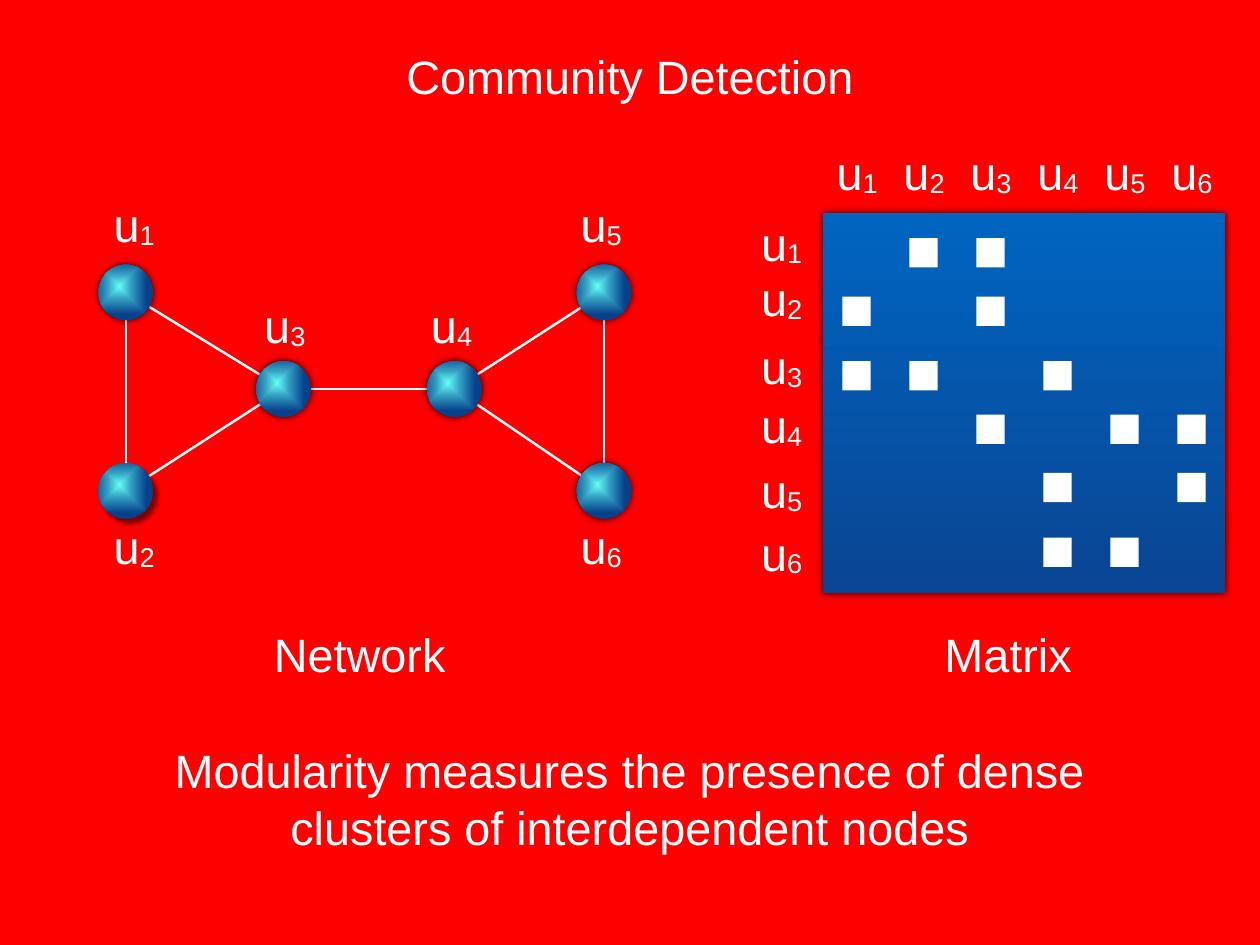
from dataclasses import dataclass
from itertools import product

import pptx
import pptx.dml.color
import pptx.enum.shapes
import pptx.enum.text
import pptx.oxml
import pptx.oxml.ns
import pptx.shapes.autoshape
import pptx.shapes.group
import pptx.shapes.shapetree
import pptx.util
from lxml import etree

Cm = pptx.util.Cm
Pt = pptx.util.Pt
Kind = pptx.enum.shapes.MSO_SHAPE
Tree = pptx.shapes.shapetree.SlideShapes | pptx.shapes.shapetree.GroupShapes
Shape = pptx.shapes.autoshape.Shape
qn = pptx.oxml.ns.qn

COLORS = {
    "back": "FF0000", "white": "FFFFFF", "black": "000000",
    "glow": "62FDF6", "teal": "349FC1", "navy": "06418C",
    "top": "0065C1", "base": "094593",
}
FONT = "Arial"
SIZE = 38


@dataclass(frozen=True)
class Box:
    left: float
    top: float
    width: float
    height: float

    def place(self) -> list[pptx.util.Length]:
        return [Cm(v) for v in (self.left, self.top, self.width, self.height)]


@dataclass(frozen=True)
class Shade:
    """A soft shadow: points for blur and dist, degrees for turn."""
    alpha: int = 80
    blur: float = 6
    dist: float = 0
    turn: int = 315


@dataclass(frozen=True)
class Node:
    x: float
    y: float
    tag_left: float
    tag_top: float
    shade: Shade = Shade()


@dataclass(frozen=True)
class Note:
    text: str
    box: Box
    wrap: bool = False


NODE_W, NODE_H = 1.57, 1.6
NODES = {
    1: Node(3.61, 8.39, 3.07, 5.46),
    2: Node(3.61, 14.08, 3.07, 14.71, Shade(50, 4, 5, 45)),
    3: Node(8.13, 11.16, 7.39, 8.36),
    4: Node(13.03, 11.16, 12.17, 8.36),
    5: Node(17.32, 8.39, 16.46, 5.46),
    6: Node(17.32, 14.08, 16.46, 14.71),
}
EDGES = {(1, 2), (1, 3), (2, 3), (3, 4), (4, 5), (4, 6), (5, 6)}

BOARD = Box(23.6, 6.12, 11.53, 10.9)
STEP = 1.92
ROW_TAGS = (5.92, 7.52, 9.47, 11.15, 13.03, 14.81)
ROW_CELLS = (6.83, 8.51, 10.36, 11.89, 13.56, 15.42)

NOTES = (
    Note("Community Detection", Box(11.46, 1.22, 13.21, 1.9)),
    Note("Matrix", Box(26.92, 17.81, 3.96, 1.9)),
    Note("Network", Box(7.51, 17.81, 5.61, 1.9)),
    Note("Modularity measures the presence of dense clusters of interdependent nodes",
         Box(4.8, 21.13, 26.52, 3.53), wrap=True),
)


def color(name: str) -> pptx.dml.color.RGBColor:
    return pptx.dml.color.RGBColor.from_string(COLORS[name])


def add_text(tree: Tree, box: Box, text: str, sub: str = "",
             wrap: bool = False, grow: bool = True) -> None:
    frame = tree.add_textbox(*box.place()).text_frame
    frame.margin_left = frame.margin_right = Cm(0.15)
    frame.margin_top = frame.margin_bottom = Cm(0.15)
    frame.vertical_anchor = pptx.enum.text.MSO_ANCHOR.MIDDLE
    fit = pptx.enum.text.MSO_AUTO_SIZE
    frame.auto_size = fit.SHAPE_TO_FIT_TEXT if grow else fit.NONE
    frame.word_wrap = wrap
    para = frame.paragraphs[0]
    para.alignment = pptx.enum.text.PP_ALIGN.CENTER
    for part in filter(None, (text, sub)):
        run = para.add_run()
        run.text = part
        run.font.name = FONT
        run.font.size = Pt(SIZE)
        run.font.color.rgb = color("white")
        if part == sub:
            run.font._element.set("baseline", "-6000")


def add_shape(tree: Tree, kind: Kind, box: Box) -> Shape:
    shape = tree.add_shape(kind, *box.place())
    shape.shadow.inherit = False
    shape.fill.solid()
    shape.fill.fore_color.rgb = color("white")
    shape.line.fill.background()
    return shape


def blend(shape: Shape, stops: dict[int, str], way: str) -> None:
    """Swap the plain fill for a gradient; way is its direction in XML."""
    marks = "".join(f'<a:gs pos="{pos * 1000}"><a:srgbClr val="{COLORS[name]}"/></a:gs>'
                    for pos, name in stops.items())
    grad = pptx.oxml.parse_xml(
        f'<a:gradFill {pptx.oxml.ns.nsdecls("a")} rotWithShape="1">'
        f"<a:gsLst>{marks}</a:gsLst>{way}</a:gradFill>")
    props = shape._element.spPr
    props.replace(props.find(qn("a:solidFill")), grad)


def cast(shape: Shape, shade: Shade) -> None:
    """Add a shadow to the shape."""
    glow = etree.SubElement(
        shape._element.spPr.find(qn("a:effectLst")), qn("a:outerShdw"),
        blurRad=str(Pt(shade.blur)), dist=str(Pt(shade.dist)),
        dir=str(shade.turn * 60000), rotWithShape="0")
    tint = etree.SubElement(glow, qn("a:srgbClr"), val=COLORS["black"])
    etree.SubElement(tint, qn("a:alpha"), val=str(shade.alpha * 1000))


def add_edge(tree: Tree, start: Node, end: Node) -> None:
    line = tree.add_connector(pptx.enum.shapes.MSO_CONNECTOR.STRAIGHT,
                              Cm(start.x), Cm(start.y), Cm(end.x), Cm(end.y))
    line.line.color.rgb = color("white")
    line.line.width = Pt(2)
    etree.SubElement(line._element.spPr, qn("a:effectLst"))


def draw_net(tree: Tree) -> None:
    group = tree.add_group_shape().shapes
    for start, end in sorted(EDGES):
        add_edge(group, NODES[start], NODES[end])
    for num, node in NODES.items():
        ball = add_shape(group, Kind.OVAL, Box(node.x - NODE_W / 2, node.y - NODE_H / 2,
                                               NODE_W, NODE_H))
        blend(ball, {0: "glow", 43: "teal", 100: "navy"},
              '<a:path path="shape"><a:fillToRect l="38000" t="39000" '
              'r="62000" b="61000"/></a:path>')
        cast(ball, node.shade)
        add_text(tree, Box(node.tag_left, node.tag_top, 1.55, 1.9), "u", str(num))


def draw_grid(tree: Tree) -> None:
    group = tree.add_group_shape().shapes
    for i, num in enumerate(NODES):
        for left, top in ((23.72 + STEP * i, 3.91), (21.56, ROW_TAGS[i])):
            add_text(group, Box(left, top, 1.7, 2.06), "u", str(num), wrap=True, grow=False)
    board = add_shape(group, Kind.RECTANGLE, BOARD)
    blend(board, {0: "top", 100: "base"}, '<a:lin ang="5400000" scaled="0"/>')
    cast(board, Shade())
    for row, col in product(NODES, repeat=2):
        if (min(row, col), max(row, col)) in EDGES:
            add_shape(group, Kind.RECTANGLE,
                      Box(24.15 + STEP * (col - 1), ROW_CELLS[row - 1], 0.81, 0.84))


def main() -> None:
    deck = pptx.Presentation()
    deck.slide_width, deck.slide_height = Cm(36.12), Cm(27.1)
    slide = deck.slides.add_slide(deck.slide_layouts[6])
    slide.background.fill.solid()
    slide.background.fill.fore_color.rgb = color("back")
    draw_net(slide.shapes)
    draw_grid(slide.shapes)
    for note in NOTES:
        add_text(slide.shapes, note.box, note.text, wrap=note.wrap)
    deck.save("out.pptx")


if __name__ == "__main__":
    main()
